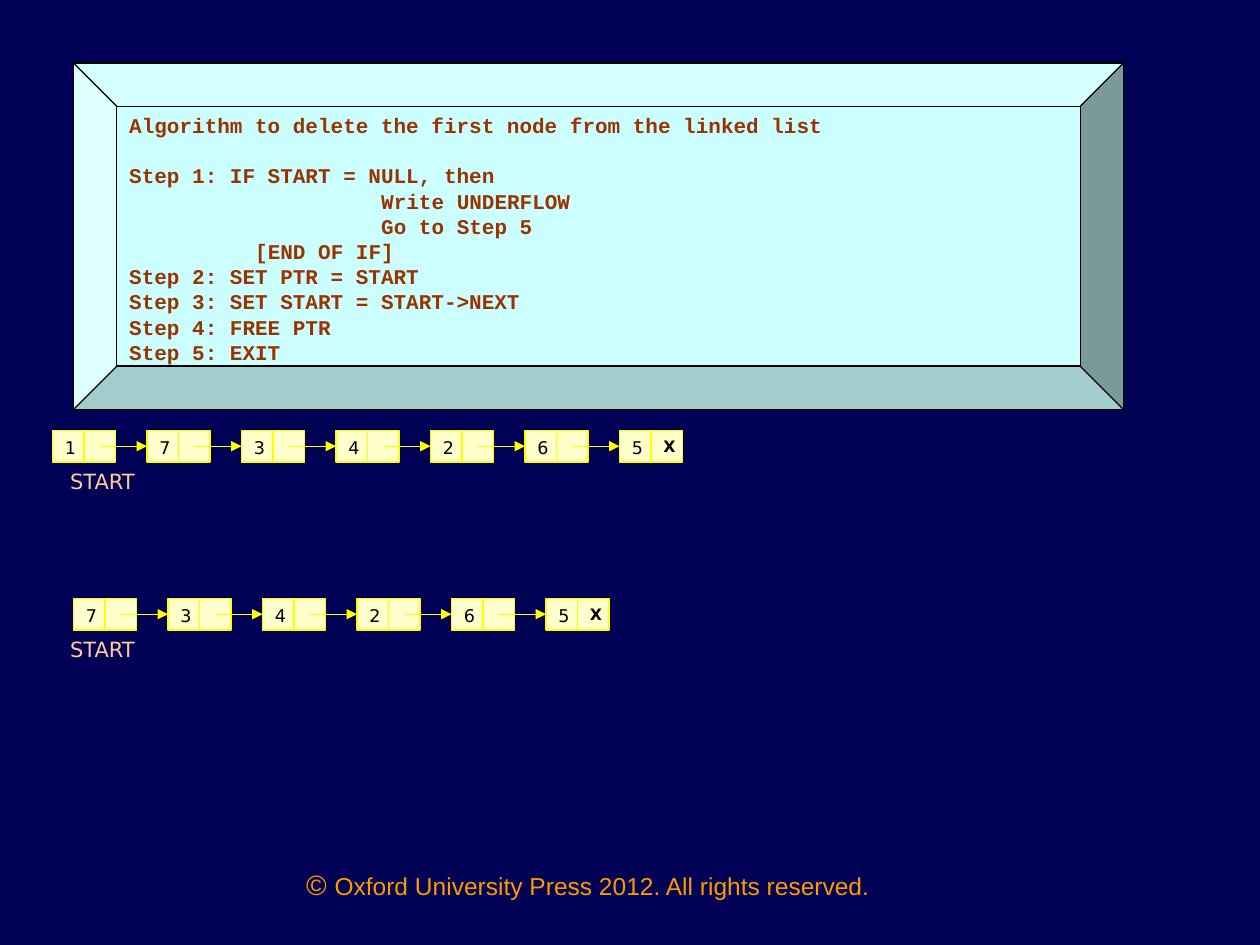
"""Build a slide on deleting the first node from a linked list."""
from lxml import etree
from pptx import Presentation
from pptx.dml.color import RGBColor
from pptx.enum.shapes import MSO_CONNECTOR, MSO_SHAPE
from pptx.enum.text import MSO_ANCHOR, PP_ALIGN
from pptx.oxml.ns import qn
from pptx.util import Pt

BEVEL, RECTANGLE = MSO_SHAPE.BEVEL, MSO_SHAPE.RECTANGLE
STRAIGHT = MSO_CONNECTOR.STRAIGHT
LEFT, CENTER = PP_ALIGN.LEFT, PP_ALIGN.CENTER
TOP, MIDDLE = MSO_ANCHOR.TOP, MSO_ANCHOR.MIDDLE
YELLOW = "FFFF00"
CELL, PITCH = 18, 54
ALGORITHM = [
    "Algorithm to delete the first node from the linked list",
    "Step 1: IF START = NULL, then",
    "\t\tWrite UNDERFLOW",
    "\t\tGo to Step 5",
    "\t[END OF IF]",
    "Step 2: SET PTR = START",
    "Step 3: SET START = START->NEXT",
    "Step 4: FREE PTR",
    "Step 5: EXIT",
]


def add_run(paragraph, text, size, font, color, bold=False):
    run = paragraph.add_run()
    run.text = text
    run.font.size = Pt(size)
    run.font.name = font
    run.font.bold = bold
    run.font.color.rgb = RGBColor.from_string(color)


def add_box(shapes, kind, x, y, width, height, fill, line):
    box = shapes.add_shape(kind, Pt(x), Pt(y), Pt(width), Pt(height))
    box.shadow.inherit = False
    box.fill.solid()
    box.fill.fore_color.rgb = RGBColor.from_string(fill)
    box.line.color.rgb = RGBColor.from_string(line)
    box.line.width = Pt(0.75)
    box.text_frame.vertical_anchor = TOP
    box.text_frame.paragraphs[0].alignment = LEFT
    return box


prs = Presentation()
prs.slide_width, prs.slide_height = Pt(720), Pt(540)
slide = prs.slides.add_slide(prs.slide_layouts[6])
slide.background.fill.solid()
slide.background.fill.fore_color.rgb = RGBColor.from_string("000055")

footer = slide.shapes.add_textbox(Pt(144), Pt(492), Pt(384), Pt(37)).text_frame
footer.word_wrap = True
notice = footer.paragraphs[0]
notice.alignment = CENTER
add_run(notice, "© ", 16, "Arial", "FF9900")
add_run(notice, "Oxford University Press 2012. All rights reserved.", 14, "Arial", "FF9900")

panel = add_box(slide.shapes, BEVEL, 42, 36, 600, 198, "CCFFFF", "000000")
panel.adjustments[0] = 0.125
for index, step in enumerate(ALGORITHM):
    frame = panel.text_frame
    paragraph = frame.add_paragraph() if index else frame.paragraphs[0]
    tabs = etree.SubElement(paragraph._p.get_or_add_pPr(), qn("a:tabLst"))
    for stop in (72, 144):
        etree.SubElement(tabs, qn("a:tab"), pos=str(Pt(stop)), algn="l")
    paragraph.alignment = LEFT
    paragraph.line_spacing = Pt(14.4)
    if index == 1:
        paragraph.space_before = Pt(14.4)
    add_run(paragraph, step, 12, "Courier New", "993300", True)

for left, top, values in ((30, 246, "1734265"), (42, 342, "734265")):
    linked_list = slide.shapes.add_group_shape().shapes
    for index, value in enumerate(values):
        x = left + index * PITCH
        data = add_box(linked_list, RECTANGLE, x, top, CELL, CELL, "FFFFCC", YELLOW)
        add_run(data.text_frame.paragraphs[0], value, 10, "DejaVu Sans", "000000")
        link = add_box(linked_list, RECTANGLE, x + CELL, top, CELL, CELL, "FFFFCC", YELLOW)
        if index:
            middle = Pt(top + CELL / 2)
            arrow = linked_list.add_connector(
                STRAIGHT, Pt(x - PITCH + 1.5 * CELL), middle, Pt(x), middle)
            arrow.end_connect(data, 1)
            arrow.line.color.rgb = RGBColor.from_string(YELLOW)
            arrow.line.width = Pt(0.75)
            etree.SubElement(arrow.line._get_or_add_ln(), qn("a:tailEnd"), type="triangle")
            etree.SubElement(arrow._element.spPr, qn("a:effectLst"))
    add_run(link.text_frame.paragraphs[0], "X", 9, "DejaVu Sans", "000000", True)

    start = slide.shapes.add_textbox(Pt(33), Pt(top + CELL), Pt(53), Pt(22)).text_frame
    start.word_wrap = False
    start.vertical_anchor = MIDDLE
    add_run(start.paragraphs[0], "START", 12, "DejaVu Sans", "FFCC99")

prs.save("out.pptx")
